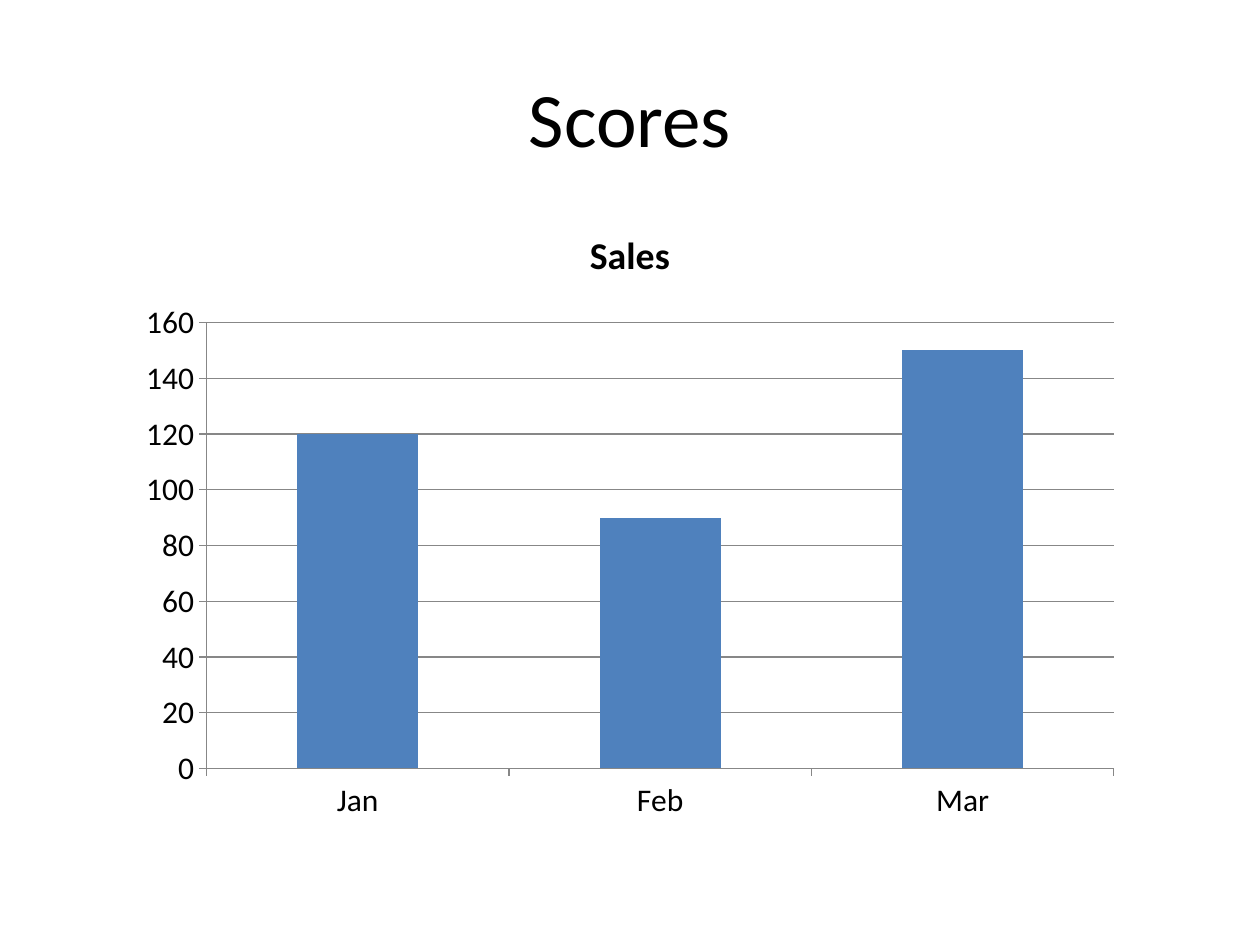
from pptx import Presentation
from pptx.chart.data import CategoryChartData
from pptx.dml.color import RGBColor
from pptx.enum.chart import XL_CHART_TYPE, XL_TICK_MARK
from pptx.enum.text import MSO_ANCHOR, PP_ALIGN
from pptx.util import Inches, Pt

BLACK = RGBColor(0x00, 0x00, 0x00)
GRAY = RGBColor(0x87, 0x87, 0x87)
BLUE = RGBColor(0x4F, 0x81, 0xBD)


class SlideBuilder:
    """Hold the style and the current slide, and add elements to it."""

    def __init__(self, slide, font_name="Calibri"):
        self.slide = slide
        self.font_name = font_name

    def style_font(self, font, size, bold=False):
        font.name = self.font_name
        font.size = Pt(size)
        font.bold = bold
        font.color.rgb = BLACK

    def style_line(self, line):
        line.color.rgb = GRAY
        line.width = Pt(0.75)

    def title(self, text, left, top, width, height):
        box = self.slide.shapes.title
        box.left, box.top = Inches(left), Inches(top)
        box.width, box.height = Inches(width), Inches(height)
        box.text_frame.text = text
        box.text_frame.vertical_anchor = MSO_ANCHOR.MIDDLE
        para = box.text_frame.paragraphs[0]
        para.alignment = PP_ALIGN.CENTER
        self.style_font(para.font, 44)

    def column_chart(self, name, points, left, top, width, height):
        data = CategoryChartData()
        data.categories = list(points)
        data.add_series(name, list(points.values()))
        chart = self.slide.shapes.add_chart(
            XL_CHART_TYPE.COLUMN_CLUSTERED,
            Inches(left), Inches(top), Inches(width), Inches(height), data,
        ).chart
        self.style_font(chart.font, 18)
        chart.has_legend = False
        chart.has_title = True
        chart.chart_title.include_in_layout = False
        chart.chart_title.text_frame.text = name
        heading = chart.chart_title.text_frame.paragraphs[0]
        self.style_font(heading.font, 21.6, bold=True)

        for axis in (chart.category_axis, chart.value_axis):
            axis.major_tick_mark = XL_TICK_MARK.OUTSIDE
            axis.minor_tick_mark = XL_TICK_MARK.NONE
            self.style_font(axis.tick_labels.font, 18)
            self.style_line(axis.format.line)
        chart.value_axis.has_major_gridlines = True
        self.style_line(chart.value_axis.major_gridlines.format.line)

        plot = chart.plots[0]
        plot.gap_width = 150
        plot.vary_by_categories = False
        fill = plot.series[0].format.fill
        fill.solid()
        fill.fore_color.rgb = BLUE


def main():
    deck = Presentation()
    deck.slide_width, deck.slide_height = Inches(10), Inches(7.5)
    page = SlideBuilder(deck.slides.add_slide(deck.slide_layouts[5]))
    page.title("Scores", 0.5, 0.3, 9, 1.25)
    page.column_chart("Sales", {"Jan": 120, "Feb": 90, "Mar": 150}, 1, 1.6, 8, 5)
    deck.save("out.pptx")


if __name__ == "__main__":
    main()
